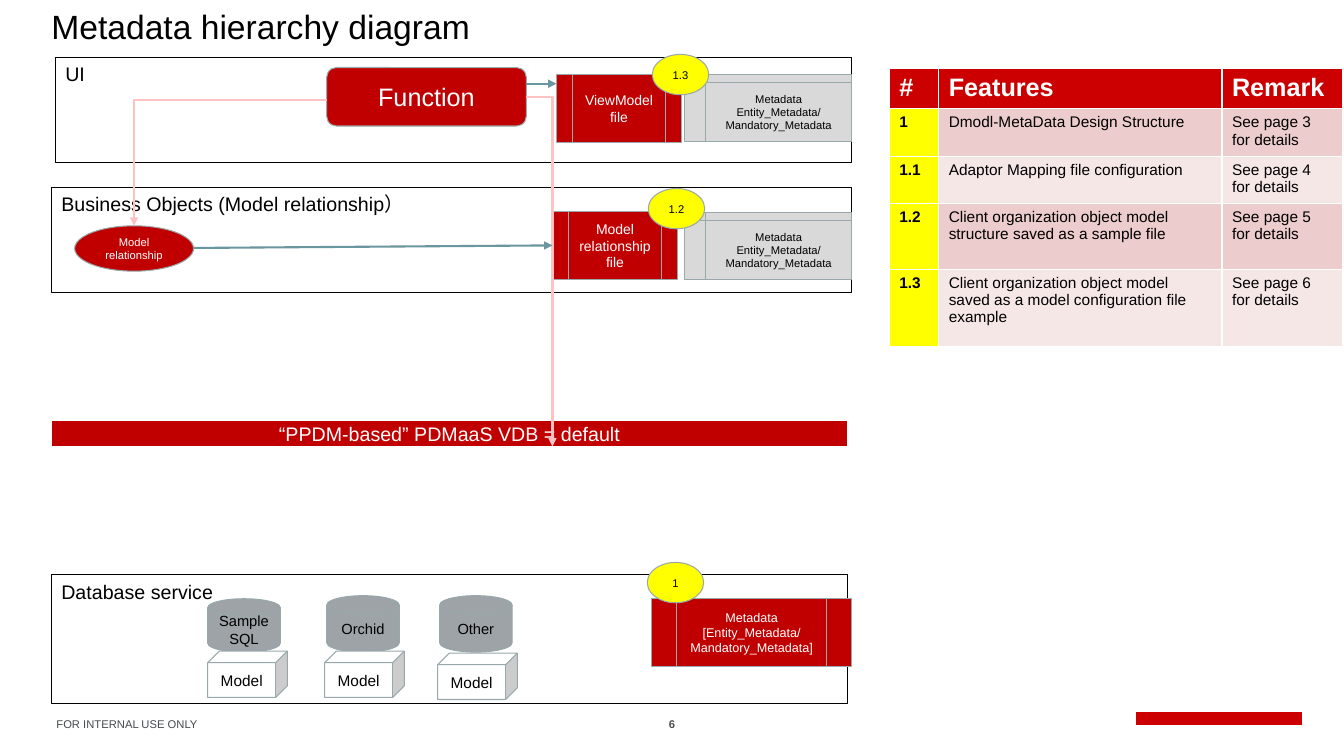
import pptx
import pptx.util
import pptx.dml.color
import pptx.enum.shapes
import pptx.enum.text
import pptx.oxml
import pptx.oxml.ns

Inches = pptx.util.Inches
RGB = pptx.dml.color.RGBColor
SHAPE = pptx.enum.shapes.MSO_SHAPE
LINE = pptx.enum.shapes.MSO_CONNECTOR
ANCHOR = pptx.enum.text.MSO_ANCHOR
ALIGN = pptx.enum.text.PP_ALIGN

BLACK = RGB(0x00, 0x00, 0x00)
WHITE = RGB(0xFF, 0xFF, 0xFF)
RED = RGB(0xC0, 0x00, 0x00)
HEADER_RED = RGB(0xCC, 0x00, 0x00)
YELLOW = RGB(0xFF, 0xFF, 0x00)
GREY = RGB(0x9D, 0xA3, 0xA7)
LIGHT_GREY = RGB(0xD9, 0xD9, 0xD9)
OUTLINE = RGB(0x99, 0xA8, 0xAA)
PINK = RGB(0xFF, 0xC2, 0xC2)
TEAL = RGB(0x69, 0x96, 0x9F)
BANDS = RGB(0xEC, 0xCC, 0xCC), RGB(0xF6, 0xE7, 0xE7)
FOOTER = RGB(0x44, 0x4A, 0x4F)
PAGE_NUMBER = RGB(0x4D, 0x4D, 0x4D)


class Diagram:
    font = "Arial"

    def __init__(self, slide):
        self.slide = slide

    def set_text(self, frame, text, size, color, align=ALIGN.LEFT, bold=False):
        frame.text = text
        for paragraph in frame.paragraphs:
            paragraph.alignment = align
            for run in paragraph.runs:
                run.font.name = self.font
                run.font.size = pptx.util.Pt(size)
                run.font.bold = bold
                run.font.color.rgb = color

    def inset(self, frame, left, top, right, bottom):
        frame.margin_left, frame.margin_top = Inches(left), Inches(top)
        frame.margin_right, frame.margin_bottom = Inches(right), Inches(bottom)

    def title(self, text, box):
        title = self.slide.shapes.title
        title.left, title.top, title.width, title.height = map(Inches, box)
        frame = title.text_frame
        self.inset(frame, 0.1, 0, 0.1, 0.05)
        frame.vertical_anchor = ANCHOR.MIDDLE
        self.set_text(frame, text, 24, BLACK)

    def label(self, text, box, color, align=ALIGN.LEFT, bold=False):
        frame = self.slide.shapes.add_textbox(*map(Inches, box)).text_frame
        self.inset(frame, 0, 0, 0, 0)
        frame.word_wrap = False
        self.set_text(frame, text, 8, color, align, bold)

    def shape(self, kind, box, fill=None, outline=OUTLINE):
        shape = self.slide.shapes.add_shape(kind, *map(Inches, box))
        shape.shadow.inherit = False
        if fill is None:
            shape.fill.background()
        else:
            shape.fill.solid()
            shape.fill.fore_color.rgb = fill
        shape.line.color.rgb = outline
        shape.line.width = pptx.util.Pt(0.75)
        return shape

    def layer(self, text, box):
        frame = self.shape(SHAPE.RECTANGLE, box, outline=BLACK).text_frame
        frame.vertical_anchor = ANCHOR.TOP
        self.set_text(frame, text, 14, BLACK)

    def node(self, kind, text, box, fill, size, color=BLACK, outline=OUTLINE):
        shape = self.shape(kind, box, fill, outline)
        frame = shape.text_frame
        self.inset(frame, 0.1, 0.1, 0.1, 0.1)
        frame.vertical_anchor = ANCHOR.MIDDLE
        frame.word_wrap = True
        self.set_text(frame, text, size, color, ALIGN.CENTER)
        return shape

    def arrow(self, start, end, color, bent=False):
        kind = LINE.ELBOW if bent else LINE.STRAIGHT
        arrow = self.slide.shapes.add_connector(kind, *map(Inches, start + end))
        arrow.line.color.rgb = color
        arrow.line.width = pptx.util.Pt(1.5)
        properties = arrow.element.spPr
        if bent:  # a single corner: across, then down
            properties.find(pptx.oxml.ns.qn("a:prstGeom")).set("prst", "bentConnector2")
        namespace = pptx.oxml.ns.nsdecls("a")
        properties.get_or_add_ln().append(
            pptx.oxml.parse_xml(f'<a:tailEnd {namespace} type="triangle"/>'))
        properties.append(pptx.oxml.parse_xml(f"<a:effectLst {namespace}/>"))
        return arrow

    def table(self, rows, left, top, widths, heights):
        table = self.slide.shapes.add_table(
            len(rows), len(widths), Inches(left), Inches(top),
            Inches(sum(widths)), Inches(sum(heights))).table
        for column, width in zip(table.columns, widths):
            column.width = Inches(width)
        for r, (row, height) in enumerate(zip(rows, heights)):
            table.rows[r].height = Inches(height)
            for c, text in enumerate(row):
                cell = table.cell(r, c)
                header = r == 0
                cell.fill.solid()
                cell.fill.fore_color.rgb = (
                    HEADER_RED if header else YELLOW if c == 0 else BANDS[(r - 1) % 2])
                self.set_text(cell.text_frame, text, 18 if header else 11,
                              WHITE if header else BLACK, bold=header or c == 0)


def main():
    deck = pptx.Presentation()
    deck.slide_width, deck.slide_height = Inches(13.33), Inches(7.5)
    diagram = Diagram(deck.slides.add_slide(deck.slide_layouts[5]))

    # Title and footer
    diagram.title("Metadata hierarchy diagram", (0.41, 0.07, 12.48, 0.43))
    diagram.label("6", (6.52, 7.12, 0.29, 0.13), PAGE_NUMBER, ALIGN.CENTER, True)
    diagram.label("FOR INTERNAL USE ONLY", (0.56, 7.12, 1.43, 0.13), FOOTER)
    diagram.shape(SHAPE.RECTANGLE, (11.27, 7.07, 1.64, 0.12), HEADER_RED, HEADER_RED)

    # Layers
    diagram.layer("Database service", (0.51, 5.7, 7.9, 1.28))
    diagram.node(SHAPE.RECTANGLE, "“PPDM-based” PDMaaS VDB = default",
                 (0.51, 4.17, 7.9, 0.26), RED, 14, WHITE, WHITE)
    diagram.layer("Business Objects (Model relationship）", (0.51, 1.86, 7.94, 1.04))
    diagram.layer("UI", (0.55, 0.57, 7.9, 1.04))

    # Databases, each with its model
    databases = (("Sample SQL", 2.06, 5.94, 2.06, 6.46),
                 ("Orchid", 3.24, 5.91, 3.22, 6.46),
                 ("Other", 4.36, 5.91, 4.34, 6.48))
    for name, disk_left, disk_top, model_left, model_top in databases:
        diagram.node(SHAPE.FLOWCHART_MAGNETIC_DISK, name,
                     (disk_left, disk_top, 0.72, 6.47 - disk_top), GREY, 10.5)
        diagram.node(SHAPE.CUBE, "Model", (model_left, model_top, 0.79, 0.46), WHITE, 11)

    # Functions and files
    process = SHAPE.FLOWCHART_PREDEFINED_PROCESS
    diagram.node(process, "Metadata\n[Entity_Metadata/\nMandatory_Metadata]",
                 (6.46, 5.94, 1.99, 0.67), RED, 9, WHITE)
    diagram.node(SHAPE.OVAL, "Model relationship", (0.74, 2.24, 1.18, 0.45), RED, 8, WHITE)
    relationship_file = diagram.node(process, "Model relationship\nfile",
                                     (5.48, 2.1, 1.24, 0.67), RED, 10, WHITE)
    diagram.node(SHAPE.ROUNDED_RECTANGLE, "Function", (3.24, 0.67, 1.98, 0.58), RED, 18, WHITE)
    diagram.node(process, "ViewModel file", (5.52, 0.74, 1.24, 0.67), RED, 10, WHITE)
    for top in (2.11, 0.74):
        diagram.node(SHAPE.FLOWCHART_INTERNAL_STORAGE,
                     "Metadata\nEntity_Metadata/\nMandatory_Metadata",
                     (6.79, top, 1.66, 0.66), LIGHT_GREY, 8)

    # Arrows
    diagram.arrow((5.22, 0.96), (5.48, 4.43), PINK, bent=True)
    diagram.arrow((3.24, 0.99), (1.33, 2.24), PINK, bent=True)
    to_file = diagram.arrow((1.92, 2.46), (5.48, 2.44), TEAL)
    to_file.end_connect(relationship_file, 1)
    diagram.arrow((5.22, 0.83), (5.52, 0.83), TEAL)

    # Feature list
    features = (
        ("#", "Features", "Remark"),
        ("1", "Dmodl-MetaData Design Structure", "See page 3 for details"),
        ("1.1", "Adaptor Mapping file configuration", "See page 4 for details"),
        ("1.2", "Client organization object model structure saved as a sample file",
         "See page 5 for details"),
        ("1.3", "Client organization object model saved as a model configuration file example",
         "See page 6 for details"))
    diagram.table(features, 8.82, 0.68, (0.49, 2.81, 1.2), (0.39, 0.47, 0.47, 0.65, 0.77))

    # Feature numbers on the diagram
    for number, left, top in (("1.2", 6.43, 1.87), ("1.3", 6.47, 0.54), ("1", 6.42, 5.58)):
        diagram.node(SHAPE.OVAL, number, (left, top, 0.56, 0.4), YELLOW, 8)

    deck.save("out.pptx")


if __name__ == "__main__":
    main()
